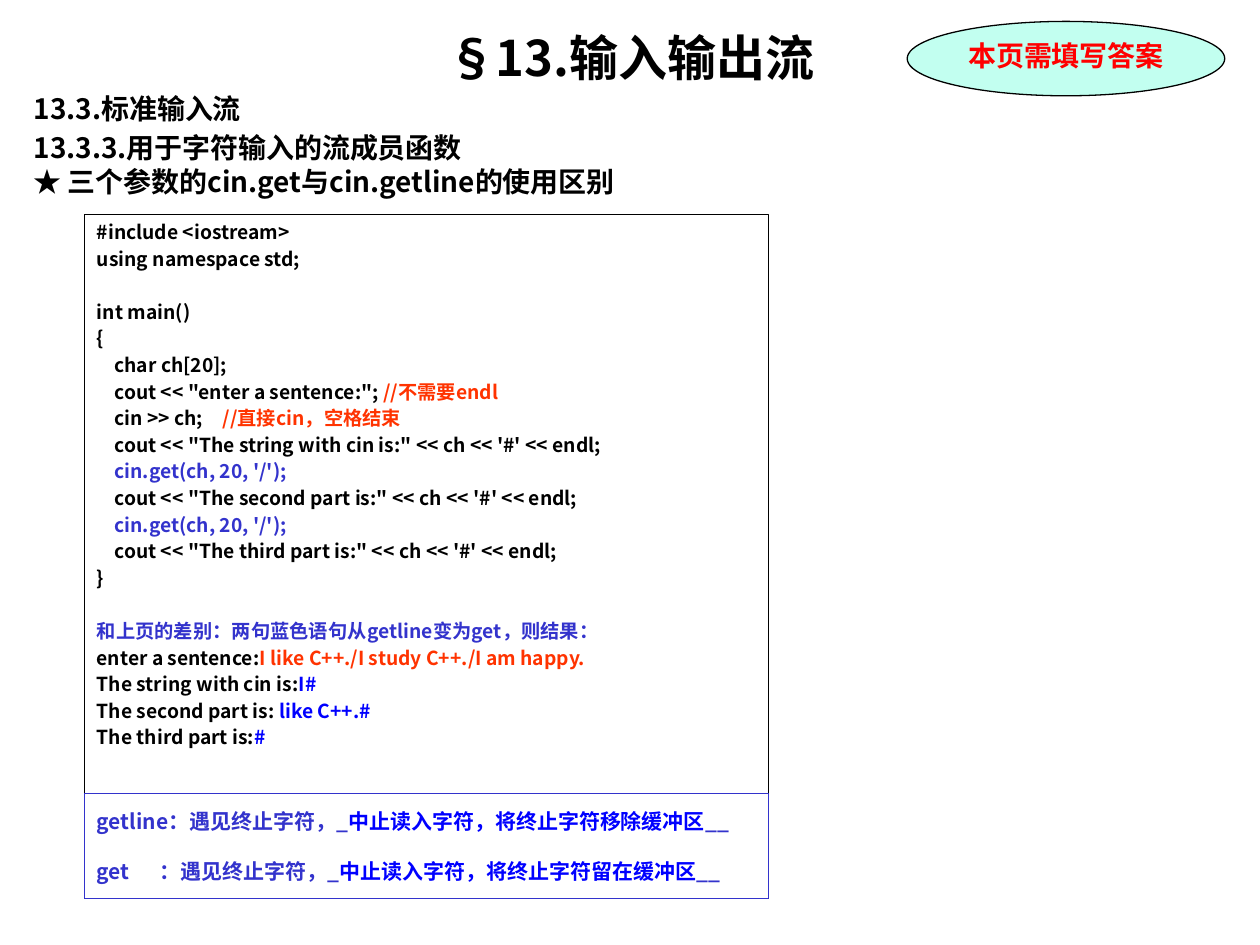
from pptx import Presentation
from pptx.dml.color import RGBColor
from pptx.enum.shapes import MSO_SHAPE
from pptx.enum.text import MSO_ANCHOR, PP_ALIGN
from pptx.oxml.xmlchemy import OxmlElement
from pptx.util import Inches, Pt

RECT, OVAL = MSO_SHAPE.RECTANGLE, MSO_SHAPE.OVAL
TOP, MIDDLE = MSO_ANCHOR.TOP, MSO_ANCHOR.MIDDLE
LEFT, CENTER = PP_ALIGN.LEFT, PP_ALIGN.CENTER
TITLE_ONLY = 5
COLORS = {"black": "000000", "orange": "FF3300", "indigo": "3333CC",
          "blue": "0000FF", "red": "FF0000", "mint": "C2FFF0"}


class Deck:
    font = "Noto Sans CJK SC"
    line_height = 1.2

    def __init__(self, width, height):
        self.prs = Presentation()
        self.prs.slide_width, self.prs.slide_height = Inches(width), Inches(height)
        self.s = self.prs.slides.add_slide(self.prs.slide_layouts[TITLE_ONLY])

    def color(self, name):
        return RGBColor.from_string(COLORS[name])

    def fill_text(self, sp, paragraphs, size, align=LEFT, anchor=TOP, wrap=True,
                  gap=0, font=None):
        """Each paragraph is (runs, options); each run is (text, color)."""
        tf = sp.text_frame
        tf.word_wrap, tf.vertical_anchor = wrap, anchor
        for i, (runs, options) in enumerate(paragraphs):
            p = tf.paragraphs[0] if i == 0 else tf.add_paragraph()
            values = {"alignment": align, "line_spacing": Pt(size * self.line_height),
                      "space_before": Pt(options.get("gap", gap))}
            for name, value in values.items():
                setattr(p, name, value)
            self.indent(p, options.get("indent", 0), options.get("tab"))
            for j, (text, color) in enumerate(runs):
                for k, part in enumerate(text.split("\v")):
                    if k:
                        p.add_line_break()
                    r = p.add_run()
                    r.text = part
                    style = {"name": font or self.font, "size": Pt(size), "bold": True}
                    for name, value in style.items():
                        setattr(r.font, name, value)
                    r.font.color.rgb = self.color(color)
                    ea = OxmlElement("a:ea")
                    ea.set("typeface", self.font)
                    r.font._element.append(ea)

    def indent(self, p, first, tab):
        pPr = p._p.get_or_add_pPr()
        pPr.set("marL", "0")
        pPr.set("indent", str(Inches(first)))
        if tab:
            tabs, stop = OxmlElement("a:tabLst"), OxmlElement("a:tab")
            stop.set("pos", str(Inches(tab)))
            stop.set("algn", "l")
            tabs.append(stop)
            pPr.append(tabs)

    def title(self, box, text, size):
        sp = self.s.shapes.title
        sp.left, sp.top, sp.width, sp.height = map(Inches, box)
        self.fill_text(sp, [([(text, "black")], {})], size, CENTER)

    def text(self, box, paragraphs, size, **style):
        sp = self.s.shapes.add_textbox(*map(Inches, box))
        self.fill_text(sp, paragraphs, size, **style)

    def shape(self, kind, box, paragraphs, size, line="black", fill=None, **style):
        sp = self.s.shapes.add_shape(kind, *map(Inches, box))
        sp.shadow.inherit = False
        if fill:
            sp.fill.solid()
            sp.fill.fore_color.rgb = self.color(fill)
        else:
            sp.fill.background()
        sp.line.color.rgb, sp.line.width = self.color(line), Pt(0.75)
        self.fill_text(sp, paragraphs, size, **style)


def row(text, color="black", **options):
    return [(text, color)], options


def statement(text, color="black", note="", **options):
    runs = [(text, color)] + ([(note, "orange")] if note else [])
    return runs, {"indent": 0.14, **options}


def output(prompt, value, color="blue"):
    return [(prompt, "black"), (value, color)], {}


def rule(name, action, **options):
    return [(name + "：遇见终止字符，_", "indigo"), (action, "blue"), ("__", "indigo")], options


deck = Deck(10, 7.5)

# Headings
deck.title((0.17, 0.17, 9.67, 0.6), "§13.输入输出流", 28)
deck.text((0.17, 0.68, 7, 1), [
    row("13.3.标准输入流"),
    row("13.3.3.用于字符输入的流成员函数\v★ 三个参数的cin.get与cin.getline的使用区别"),
], 16, gap=3)

# Program and its output
SECTION = 17
get_call = statement("cin.get(ch, 20, '/');", "indigo")
deck.shape(RECT, (0.67, 1.7, 5.43, 5.43), [
    row("#include <iostream>"),
    row("using namespace std;"),
    row("int main()", gap=SECTION),
    row("{"),
    statement("char ch[20];"),
    statement('cout << "enter a sentence:"; ', note="//不需要endl"),
    statement("cin >> ch;\t", note="//直接cin，空格结束", tab=1.23),
    statement("cout << \"The string with cin is:\" << ch << '#' << endl;"),
    get_call,
    statement("cout << \"The second part is:\" << ch << '#' << endl;"),
    get_call,
    statement("cout << \"The third part is:\" << ch << '#' << endl;"),
    row("}"),
    row("和上页的差别：两句蓝色语句从getline变为get，则结果：", "indigo", gap=SECTION),
    output("enter a sentence:", "I like C++./I study C++./I am happy.", "orange"),
    output("The string with cin is:", "I#"),
    output("The second part is: ", "like C++.#"),
    output("The third part is:", "#"),
], 11, gap=2)

# Comparison of the two functions
deck.shape(RECT, (0.67, 6.3, 5.43, 0.83), [
    rule("getline", "中止读入字符，将终止字符移除缓冲区"),
    rule("get\t", "中止读入字符，将终止字符留在缓冲区", gap=14.5, tab=0.4),
], 12, line="indigo", anchor=MIDDLE, wrap=False)

# Reminder badge
deck.shape(OVAL, (7.2, 0.17, 2.52, 0.59), [row("本页需填写答案", "red")], 16,
           fill="mint", align=CENTER, font="Times New Roman")

deck.prs.save("out.pptx")
